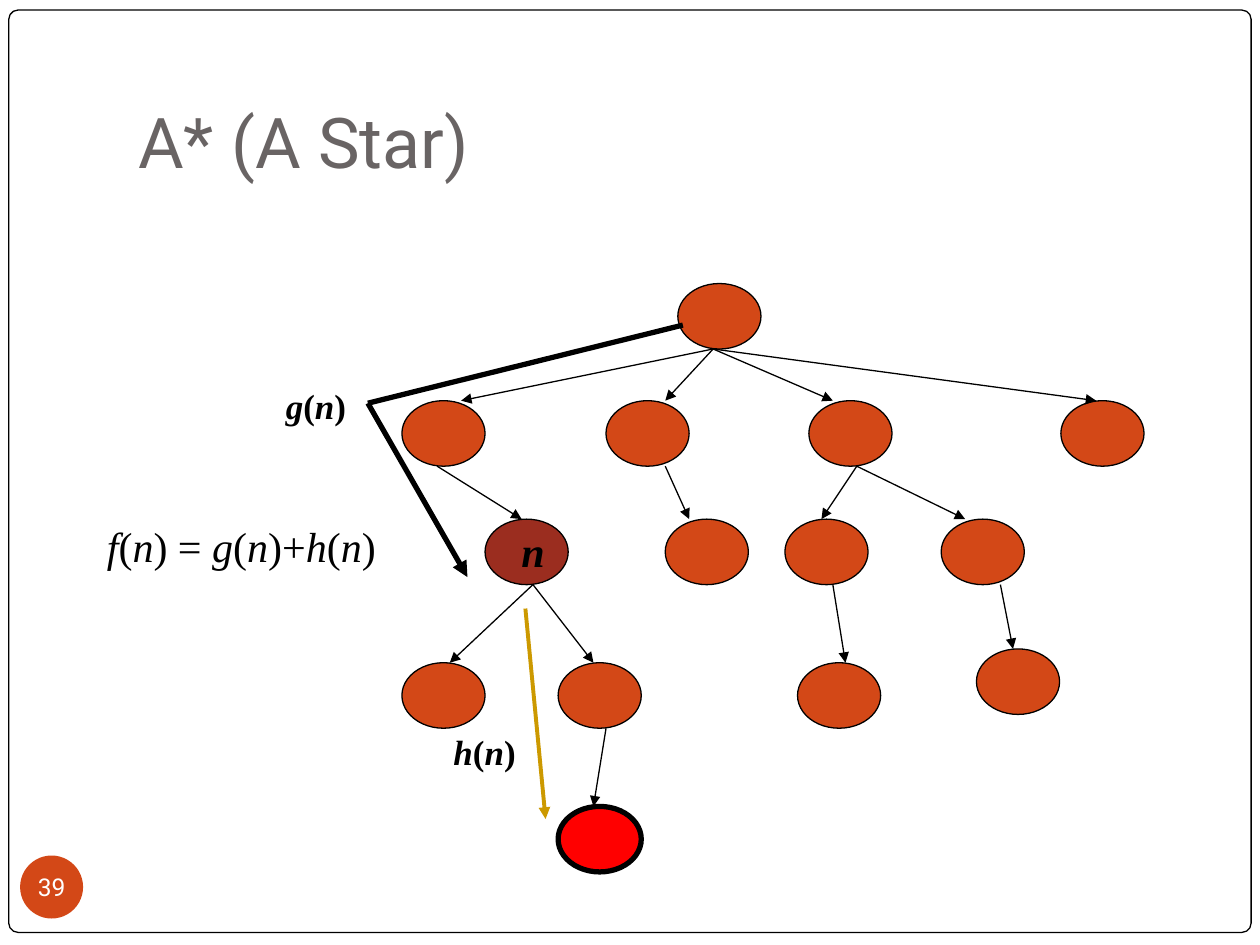
"""Build the A* search tree slide with its path cost and heuristic arrows."""
from itertools import groupby

from lxml.etree import SubElement
from pptx import Presentation
from pptx.dml.color import RGBColor
from pptx.enum.shapes import MSO_CONNECTOR, MSO_SHAPE
from pptx.enum.text import MSO_ANCHOR, PP_ALIGN
from pptx.oxml.ns import qn
from pptx.util import Inches, Pt

THEME = {
    "paper": "FFFFFF", "ink": "000000", "title": "696464", "node": "D34817",
    "current": "9B2D1F", "goal": "FF0000", "heuristic": "CC9900",
    "heading_font": "Roboto", "math_font": "Times New Roman",
    "title_size": 40, "formula_size": 24, "label_size": 20, "number_size": 14,
    "thin": 0.75, "medium": 2.25, "thick": 3,
}
TITLE = "A* (A Star)"
SLIDE_NUMBER = "39"
NODE_SIZE = (0.66, 0.52)
TREE_NODES = [
    (2.25, [5.38]),
    (3.18, [3.19, 4.81, 6.42, 8.42]),
    (4.12, [5.28, 6.23, 7.47]),
    (5.26, [3.19, 4.43, 6.33]),
    (5.15, [7.75]),
]
CURRENT_NODE = (3.85, 4.12)
GOAL_NODE = (4.43, 6.4)
BRANCHES = [
    ((5.66, 2.77), [(3.66, 3.18), (5.28, 3.18), (6.61, 3.18), (8.7, 3.18)]),
    ((3.47, 3.7), [(4.14, 4.12)]),
    ((5.28, 3.7), [(5.47, 4.12)]),
    ((6.8, 3.7), [(6.52, 4.12), (7.66, 4.12)]),
    ((4.23, 4.64), [(3.57, 5.26), (4.71, 5.26)]),
    ((6.61, 4.64), [(6.71, 5.26)]),
    ((7.94, 4.64), [(8.04, 5.15)]),
    ((4.81, 5.78), [(4.71, 6.4)]),
]
COST_PATH = [(5.42, 2.58), (2.92, 3.2), (3.71, 4.58)]
HEURISTIC_PATH = [(4.17, 4.83), (4.33, 6.5)]
FORMULAS = [
    ("n", (4.04, 4.12, 0.47, 0.5), "formula_size", True),
    ("g(n)", (2.17, 3, 1, 0.44), "label_size", True),
    ("h(n)", (3.5, 5.75, 1, 0.44), "label_size", True),
    ("f(n) = g(n)+h(n)", (0.75, 4.08, 2.92, 0.5), "formula_size", False),
]


def color(role):
    return RGBColor.from_string(THEME[role])


def style(font, face, size, role):
    font.name, font.size = THEME[face], Pt(THEME[size])
    font.color.rgb = color(role)


def add_outline(slide, kind, box, fill, weight=None):
    outline = slide.shapes.add_shape(kind, *map(Inches, box))
    outline.shadow.inherit = False
    outline.fill.solid()
    outline.fill.fore_color.rgb = color(fill)
    if weight:
        outline.line.color.rgb = color("ink")
        outline.line.width = Pt(THEME[weight])
    else:
        outline.line.fill.background()
    return outline


def add_node(slide, corner, fill="node", weight="thin"):
    add_outline(slide, MSO_SHAPE.OVAL, corner + NODE_SIZE, fill, weight)


def add_line(slide, start, end, role="ink", weight="thin", arrow=True):
    edge = slide.shapes.add_connector(
        MSO_CONNECTOR.STRAIGHT, *map(Inches, start + end))
    edge.line.color.rgb = color(role)
    edge.line.width = Pt(THEME[weight])
    if arrow:
        SubElement(edge.line._get_or_add_ln(), qn("a:tailEnd"), type="triangle")
    SubElement(edge._element.spPr, qn("a:effectLst"))


def add_title(slide):
    frame = slide.shapes.add_textbox(*map(Inches, (1, 0.3, 8.5, 1.25))).text_frame
    frame.word_wrap = True
    frame.vertical_anchor = MSO_ANCHOR.BOTTOM
    frame.margin_bottom = Inches(0.1)
    frame.text = TITLE
    style(frame.paragraphs[0].runs[0].font, "heading_font", "title_size", "title")


def add_slide_number(slide):
    badge = add_outline(slide, MSO_SHAPE.OVAL, (0.16, 6.79, 0.5, 0.5), "node")
    frame = badge.text_frame
    frame.margin_left = frame.margin_right = 0
    frame.margin_top = frame.margin_bottom = 0
    frame.vertical_anchor = MSO_ANCHOR.MIDDLE
    frame.text = SLIDE_NUMBER
    frame.paragraphs[0].alignment = PP_ALIGN.CENTER
    style(frame.paragraphs[0].runs[0].font, "heading_font", "number_size", "paper")


def add_formula(slide, formula, box, size, bold):
    frame = slide.shapes.add_textbox(*map(Inches, box)).text_frame
    frame.word_wrap = True
    for is_symbol, letters in groupby(formula, str.isalpha):
        part = frame.paragraphs[0].add_run()
        part.text = "".join(letters)
        style(part.font, "math_font", size, "ink")
        part.font.bold, part.font.italic = bold, is_symbol


def main():
    deck = Presentation()
    deck.slide_width, deck.slide_height = Inches(10), Inches(7.5)
    slide = deck.slides.add_slide(deck.slide_layouts[6])

    border = add_outline(slide, MSO_SHAPE.ROUNDED_RECTANGLE,
                         (0.07, 0.08, 9.86, 7.32), "paper", "thin")
    border.adjustments[0] = 0.01
    add_title(slide)
    add_slide_number(slide)

    for top, lefts in TREE_NODES:
        for left in lefts:
            add_node(slide, (left, top))
    add_node(slide, CURRENT_NODE, "current")
    add_node(slide, GOAL_NODE, "goal", "thick")

    for parent, children in BRANCHES:
        for child in children:
            add_line(slide, parent, child)
    root, bend, current = COST_PATH
    add_line(slide, root, bend, weight="thick", arrow=False)
    add_line(slide, bend, current, weight="thick")
    add_line(slide, *HEURISTIC_PATH, "heuristic", "medium")

    for formula in FORMULAS:
        add_formula(slide, *formula)
    deck.save("out.pptx")


if __name__ == "__main__":
    main()
